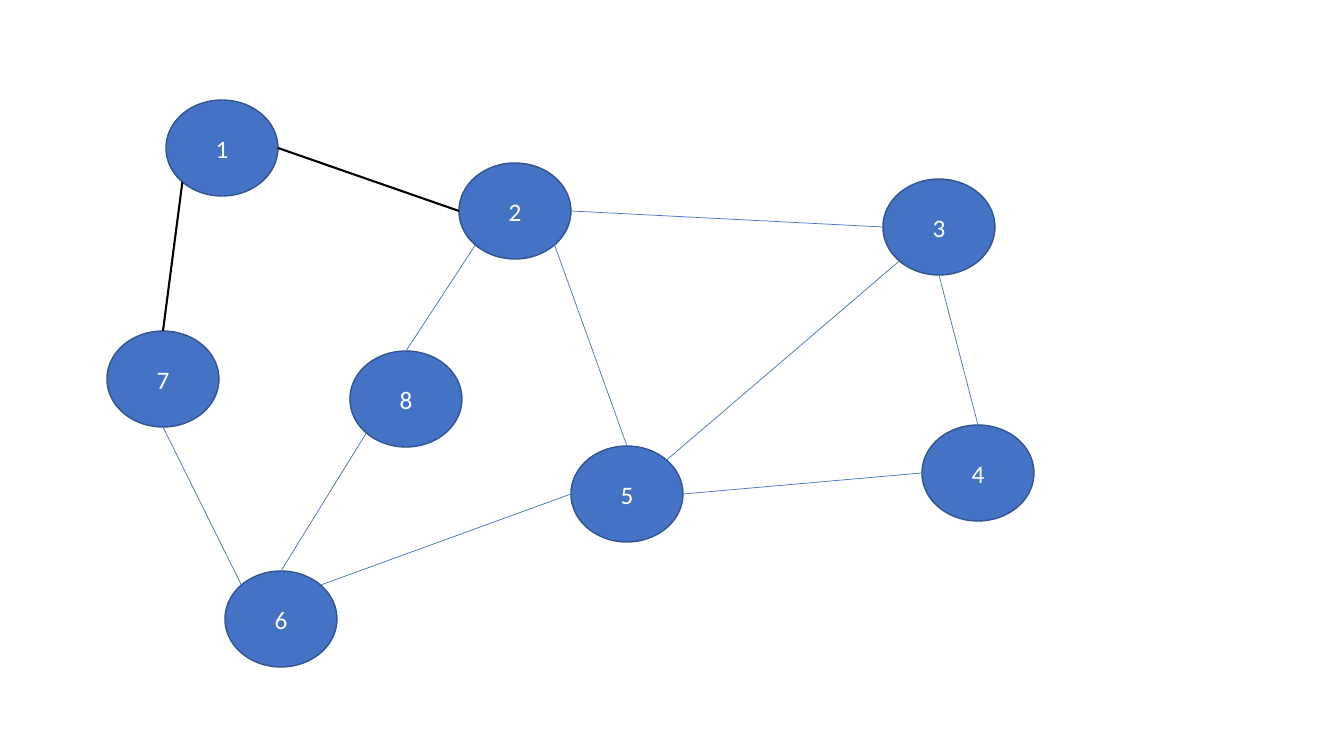
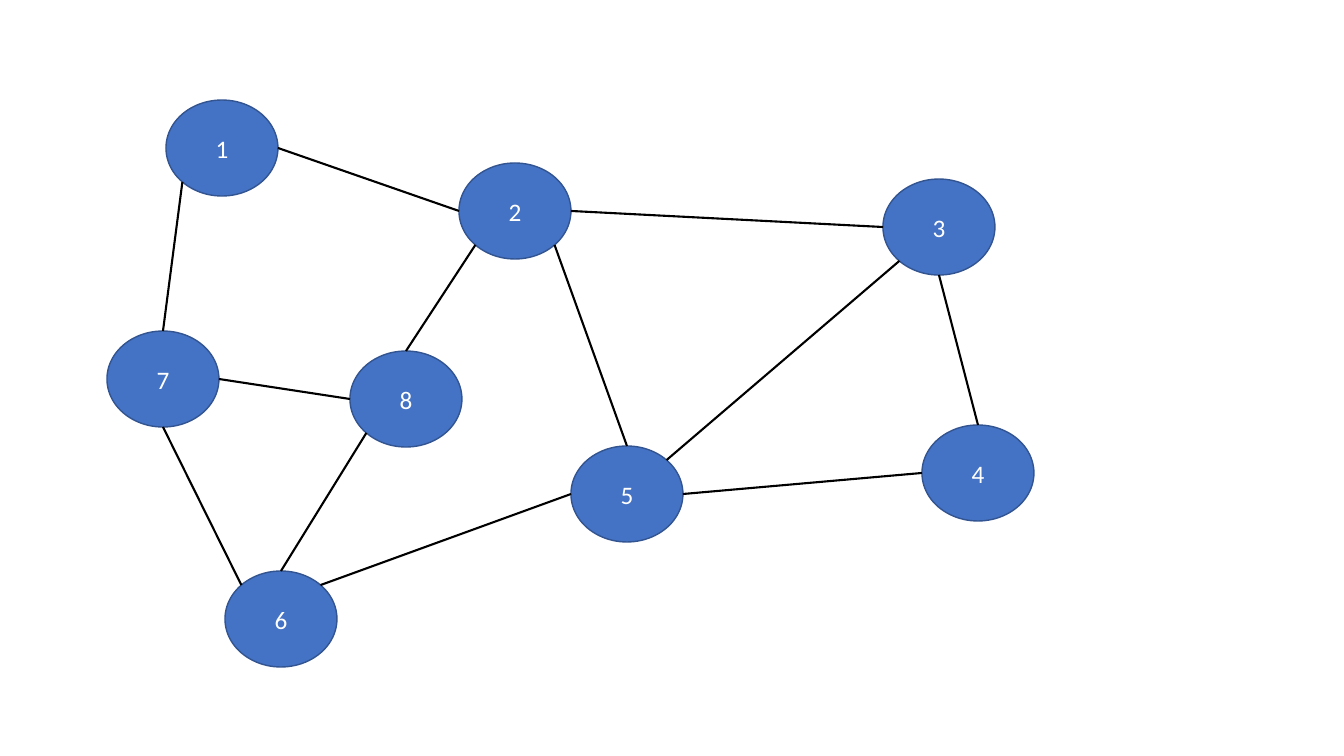
from math import cos, radians, sin

from lxml import etree
from pptx import Presentation
from pptx.dml.color import RGBColor
from pptx.enum.shapes import MSO_CONNECTOR, MSO_SHAPE
from pptx.enum.text import MSO_ANCHOR, PP_ALIGN
from pptx.oxml.ns import qn
from pptx.util import Pt

OVAL = MSO_SHAPE.OVAL
STRAIGHT = MSO_CONNECTOR.STRAIGHT
MIDDLE = MSO_ANCHOR.MIDDLE
CENTER = PP_ALIGN.CENTER

BLUE = RGBColor(0x44, 0x72, 0xC4)
DARK_BLUE = RGBColor(0x32, 0x54, 0x91)
BLACK = RGBColor(0, 0, 0)
WHITE = RGBColor(0xFF, 0xFF, 0xFF)

FONT = "Calibri"
BLANK_LAYOUT = 6
EMU_PER_PIXEL = 914400 / 100.8
SLIDE_SIZE = (1344, 756)
NODE_SIZE = (112, 96)

# Connection sites of an oval, counterclockwise in steps of 45 degrees
(TOP, TOP_LEFT, LEFT, BOTTOM_LEFT,
 BOTTOM, BOTTOM_RIGHT, RIGHT, TOP_RIGHT) = range(8)

# Node number: left, top
NODES = {
    1: (166, 100),
    2: (459, 163),
    3: (883, 179),
    4: (922, 425),
    5: (571, 446),
    6: (225, 571),
    7: (107, 331),
    8: (350, 351),
}

# Start node, its site, end node, its site
FIRST_EDGES = [
    (7, TOP, 1, BOTTOM_LEFT),
    (1, RIGHT, 2, LEFT),
]
OTHER_EDGES = [
    (8, TOP, 2, BOTTOM_LEFT),
    (5, TOP, 2, BOTTOM_RIGHT),
    (2, RIGHT, 3, LEFT),
    (4, TOP, 3, BOTTOM),
    (3, BOTTOM_LEFT, 5, TOP_RIGHT),
    (4, LEFT, 5, RIGHT),
    (6, TOP_RIGHT, 5, LEFT),
    (6, TOP_LEFT, 7, BOTTOM),
    (6, TOP, 8, BOTTOM_LEFT),
]
CLOSING_EDGE = (7, RIGHT, 8, LEFT)


def emu(pixels):
    """Turn pixels into EMU."""
    return round(pixels * EMU_PER_PIXEL)


def site_point(node, site):
    """Return the place of a connection site on a node's outline, in EMU."""
    angle = radians(45 * site)
    return (round(node.left + node.width * (1 - sin(angle)) / 2),
            round(node.top + node.height * (1 - cos(angle)) / 2))


class GraphDeck:
    """Holds the presentation, the current slide and the graph's style."""

    def __init__(self):
        """Start an empty presentation of the right size."""
        self.deck = Presentation()
        self.deck.slide_width, self.deck.slide_height = map(emu, SLIDE_SIZE)

    def add_graph(self, bold_edges, thin_edges=()):
        """Add a slide with all nodes and the given edges."""
        layout = self.deck.slide_layouts[BLANK_LAYOUT]
        self.slide = self.deck.slides.add_slide(layout)
        self.nodes = {number: self.add_node(number, *corner)
                      for number, corner in NODES.items()}
        for edge in bold_edges:
            self.add_edge(*edge, BLACK, 1.5)
        for edge in thin_edges:
            self.add_edge(*edge, BLUE, 0.5)

    def add_node(self, number, left, top):
        """Draw a numbered oval."""
        node = self.slide.shapes.add_shape(
            OVAL, *map(emu, (left, top, *NODE_SIZE)))
        node.shadow.inherit = False
        node.fill.solid()
        node.fill.fore_color.rgb = BLUE
        node.line.color.rgb = DARK_BLUE
        node.line.width = Pt(1)
        node.text_frame.text = str(number)
        node.text_frame.vertical_anchor = MIDDLE
        label = node.text_frame.paragraphs[0]
        label.alignment = CENTER
        font = label.runs[0].font
        font.name, font.size = FONT, Pt(18)
        font.color.rgb = WHITE
        return node

    def add_edge(self, start, start_site, end, end_site, color, width):
        """Join two nodes with a line glued to their connection sites."""
        ends = (("a:stCxn", self.nodes[start], start_site),
                ("a:endCxn", self.nodes[end], end_site))
        edge = self.slide.shapes.add_connector(
            STRAIGHT, *(length for _, node, site in ends
                        for length in site_point(node, site)))
        edge.line.color.rgb = color
        edge.line.width = Pt(width)
        element = edge.element
        etree.SubElement(element.spPr, qn("a:effectLst"))
        glue = element.find(f".//{qn('p:cNvCxnSpPr')}")
        for tag, node, site in ends:
            etree.SubElement(glue, qn(tag),
                             {"id": str(node.shape_id), "idx": str(site)})


def main():
    """Build both slides and save them."""
    graph = GraphDeck()
    graph.add_graph(FIRST_EDGES, OTHER_EDGES)
    graph.add_graph([*FIRST_EDGES, *OTHER_EDGES, CLOSING_EDGE])
    graph.deck.save("out.pptx")


main()
